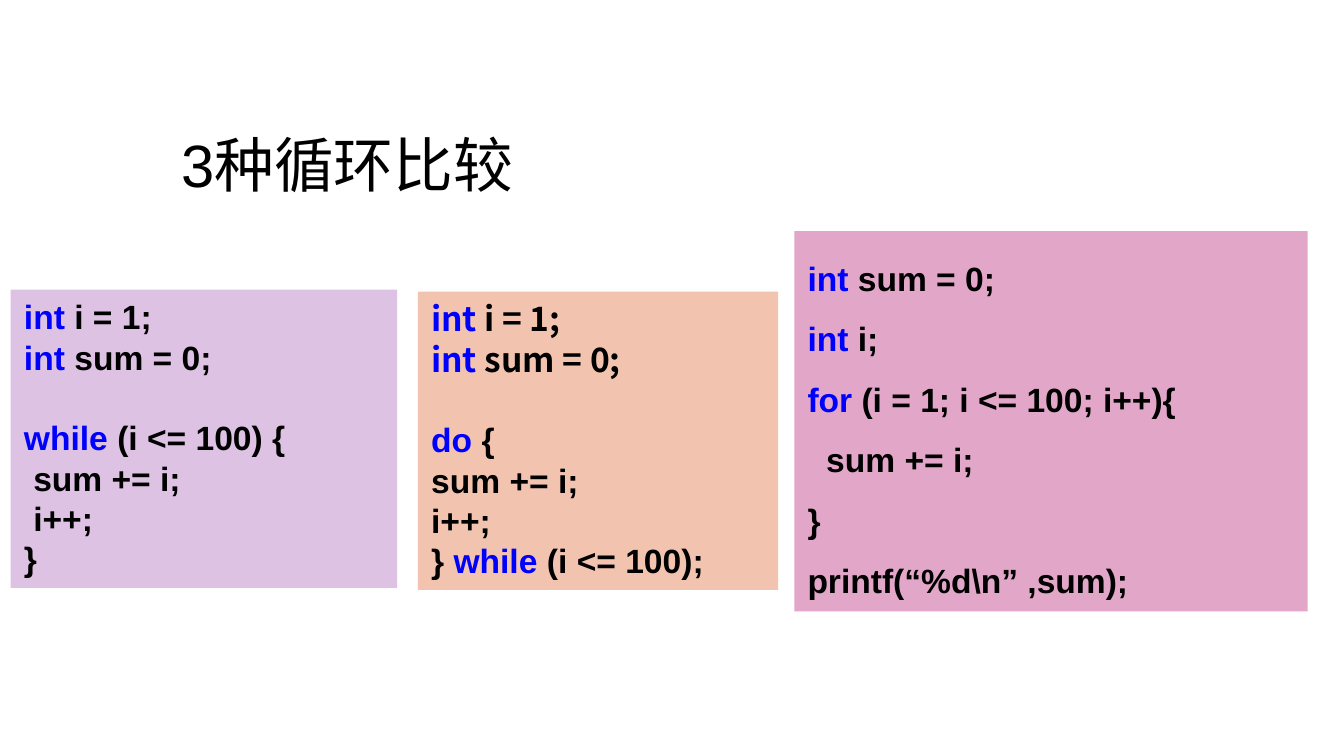
import pptx
import pptx.dml.color
import pptx.enum.shapes
import pptx.enum.text
import pptx.util

COLOURS = {
    "text": "000000",
    "keyword": "0000FF",
    "while": "DEC2E4",
    "do": "F2C4AF",
    "for": "E2A7C8",
}


class LoopSlide:
    CELL = 0.1  # inches; the grid has 100 columns and 56.25 rows
    FONT = "Arial"
    CODE_SIZE = 18
    SPACE_WIDTH = 5  # points per leading space of code

    def __init__(self, deck):
        self.slide = deck.slides.add_slide(deck.slide_layouts[6])

    def colour(self, name):
        return pptx.dml.color.RGBColor.from_string(COLOURS[name])

    def place(self, *cells):
        return [pptx.util.Inches(cell * self.CELL) for cell in cells]

    def style(self, font, size, face=None, bold=False):
        font.name = face or self.FONT
        font.size = pptx.util.Pt(size)
        font.bold = bold

    def title(self, wording, area):
        frame = self.slide.shapes.add_textbox(*self.place(*area)).text_frame
        frame.word_wrap = True
        frame.vertical_anchor = pptx.enum.text.MSO_ANCHOR.MIDDLE
        frame.margin_bottom = pptx.util.Inches(0.09)
        heading = frame.paragraphs[0]
        heading.text = wording
        self.style(heading.font, 32)
        heading.font.color.rgb = self.colour("text")

    def code_panel(self, loop, area, code, pitch, faces=()):
        """Draw code with *keywords* marked; an empty line becomes spacing.

        faces gives fonts for the first lines, where they are not the usual one.
        """
        panel = self.slide.shapes.add_shape(
            pptx.enum.shapes.MSO_SHAPE.RECTANGLE, *self.place(*area))
        panel.shadow.inherit = False
        panel.fill.solid()
        panel.fill.fore_color.rgb = self.colour(loop)
        panel.line.fill.background()
        frame = panel.text_frame
        frame.word_wrap = True
        frame.vertical_anchor = pptx.enum.text.MSO_ANCHOR.TOP

        gap = 0
        for number, line in enumerate(code):
            if not line:
                gap += pitch
                continue
            statement = frame.add_paragraph() if number else frame.paragraphs[0]
            statement.alignment = pptx.enum.text.PP_ALIGN.LEFT
            statement.line_spacing = pptx.util.Pt(pitch)
            statement.space_before = pptx.util.Pt(gap)
            gap = 0
            face = faces[number] if number < len(faces) else None
            self.style(statement.font, self.CODE_SIZE, face, bold=True)
            body = line.lstrip(" ")
            indent = pptx.util.Pt((len(line) - len(body)) * self.SPACE_WIDTH)
            if indent:
                statement._p.get_or_add_pPr().set("marL", str(int(indent)))
            for part, words in enumerate(body.split("*")):
                if words:
                    run = statement.add_run()
                    run.text = words
                    run.font.color.rgb = self.colour("keyword" if part % 2 else "text")


def main():
    deck = pptx.Presentation()
    deck.slide_width = pptx.util.Inches(10)
    deck.slide_height = deck.slide_width * 9 // 16

    comparison = LoopSlide(deck)
    comparison.title("3种循环比较", (12.5, 9, 60.8, 6.7))
    start = ["*int* i = 1;", "*int* sum = 0;", ""]
    comparison.code_panel(
        "do", (31.1, 21.7, 26.8, 22.2),
        start + ["*do* {", "sum += i;", "i++;", "}* while *(i <= 100);"],
        pitch=21.6, faces=["Noto Sans CJK SC"] * 2)
    comparison.code_panel(
        "while", (0.8, 21.55, 28.75, 22.2),
        start + ["*while* (i <= 100) {", " sum += i;", " i++;", "}"],
        pitch=21.6)
    comparison.code_panel(
        "for", (59.1, 17.2, 38.2, 28.3),
        ["*int* sum = 0;", "*int* i;", "*for* (i = 1; i <= 100; i++){",
         "  sum += i;", "}", "printf(“%d\\n” ,sum);"],
        pitch=32.4)
    deck.save("out.pptx")


if __name__ == "__main__":
    main()
